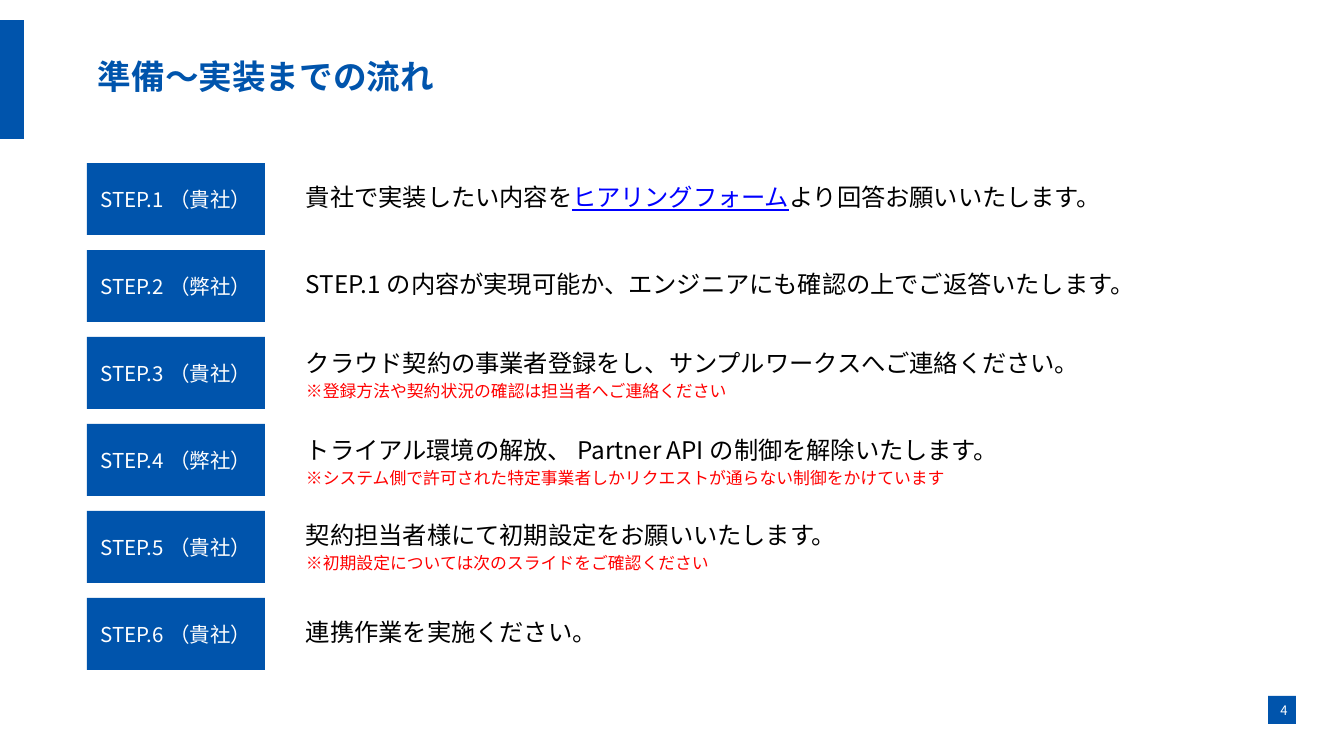
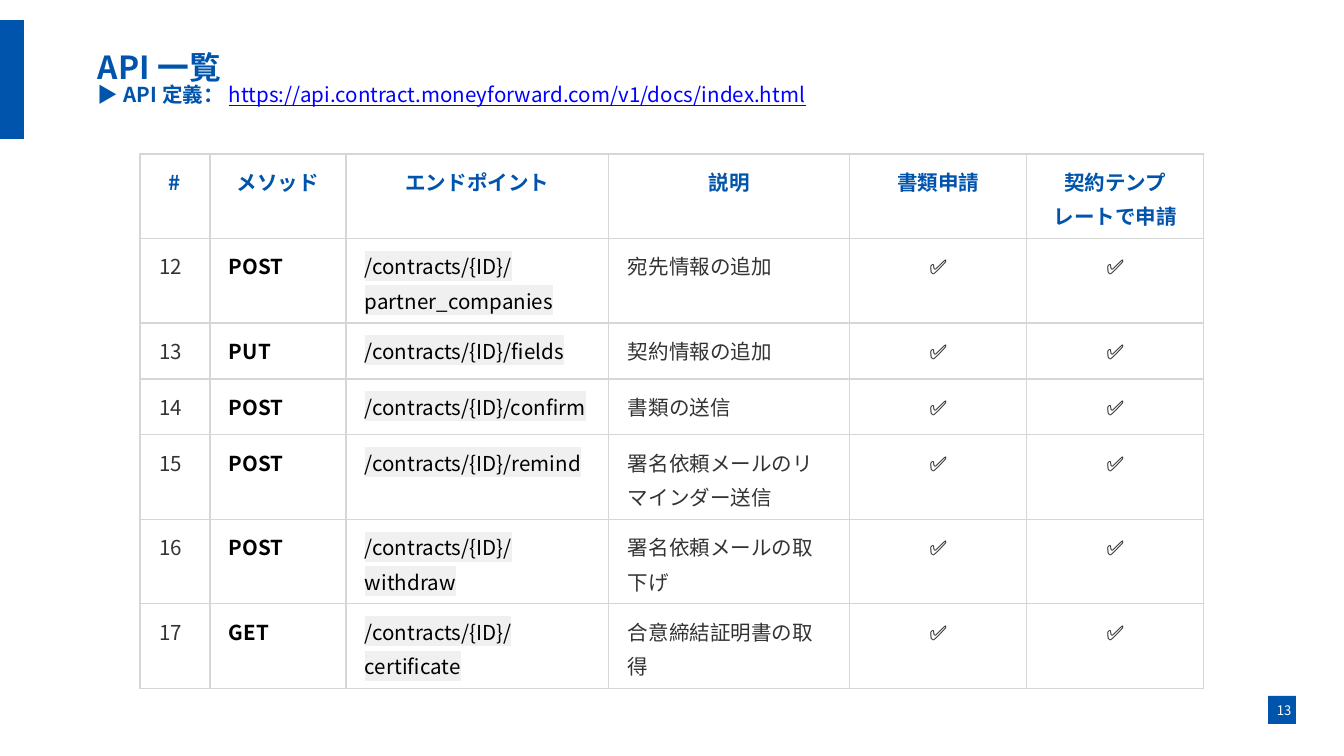
"""Build two slides: the onboarding steps and the API list."""
from lxml import etree
from pptx import Presentation, util as u
from pptx.dml.color import RGBColor
from pptx.enum import shapes, text
from pptx.oxml.ns import qn

PX = 914400 / 134.4
FONT = "Noto Sans CJK JP"
COLOURS = {
    "brand": "0054AC", "white": "FFFFFF", "black": "000000", "link": "0000FF",
    "note": "FF0000", "grey": "333333", "border": "D6D6D6", "code": "F0F0F0",
}
CENTRE = text.PP_ALIGN.CENTER
LINK = {"colour": "link", "bold": False, "underline": True}

STEP_TOP, STEP_PITCH, STEP_HEIGHT = 163, 87, 72
STEPS = [
    ("貴社", [("貴社で実装したい内容を", {}), ("ヒアリングフォーム", LINK),
            ("より回答お願いいたします。", {})], None, None),
    ("弊社", [("STEP.1の内容が実現可能か、エンジニアにも確認の上でご返答いたします。", {})], None, None),
    ("貴社", [("クラウド契約の事業者登録をし、サンプルワークスへご連絡ください。", {})],
     "※登録方法や契約状況の確認は担当者へご連絡ください", 1.15),
    ("弊社", [("トライアル環境の解放、Partner APIの制御を解除いたします。", {})],
     "※システム側で許可された特定事業者しかリクエストが通らない制御をかけています", 1.15),
    ("貴社", [("契約担当者様にて初期設定をお願いいたします。", {})],
     "※初期設定については次のスライドをご確認ください", None),
    ("貴社", [("連携作業を実施ください。", {})], None, None),
]

COLUMN_WIDTHS = [70, 136, 263, 241, 177, 177]
HEADERS = ["#", "メソッド", "エンドポイント", "説明", "書類申請", "契約テンプレートで申請"]
ENDPOINTS = [
    ("POST", "partner_companies", "宛先情報の追加"),
    ("PUT", "fields", "契約情報の追加"),
    ("POST", "confirm", "書類の送信"),
    ("POST", "remind", "署名依頼メールのリマインダー送信"),
    ("POST", "withdraw", "署名依頼メールの取下げ"),
    ("GET", "certificate", "合意締結証明書の取得"),
]


def px(*lengths):
    """Turn px lengths into EMU."""
    return [u.Emu(round(length * PX)) for length in lengths]


def rgb(name):
    """Look up a colour."""
    return RGBColor.from_string(COLOURS[name])


def add_colour(parent, tag, name):
    """Append an element that holds one solid colour."""
    holder = etree.SubElement(parent, qn(tag))
    etree.SubElement(holder, qn("a:srgbClr"), val=COLOURS[name])


def write(paragraph, runs, size, colour, bold=False, align=None, spacing=None):
    """Fill a paragraph with runs and set its shared font."""
    paragraph.alignment = align
    if spacing:
        paragraph.line_spacing = spacing
    font = paragraph.font
    font.name, font.size, font.bold = FONT, u.Pt(size), bold
    font.color.rgb = rgb(colour)
    latin = font._element.find(qn("a:latin"))
    latin.addnext(latin.makeelement(qn("a:ea"), typeface=FONT))
    for words, style in runs:
        if words == "\n":
            paragraph.add_line_break()
            continue
        run = paragraph.add_run()
        run.text = words
        if "size" in style:
            run.font.size = u.Pt(style["size"])
        if "bold" in style:
            run.font.bold = style["bold"]
        if "underline" in style:
            run.font.underline = style["underline"]
        if "colour" in style:
            run.font.color.rgb = rgb(style["colour"])
        if "highlight" in style:
            add_colour(run._r.get_or_add_rPr(), "a:highlight", style["highlight"])


def set_frame(frame, inset, anchor, fit):
    """Set wrapping, insets, anchor and fit of a text frame."""
    frame.word_wrap = True
    frame.auto_size = fit
    frame.vertical_anchor = anchor
    inset, = px(inset)
    frame.margin_left = frame.margin_right = inset
    frame.margin_top = frame.margin_bottom = inset


def add_block(slide, *box):
    """Add a plain rectangle in the brand colour."""
    block = slide.shapes.add_shape(shapes.MSO_SHAPE.RECTANGLE, *px(*box))
    block.shadow.inherit = False
    block.fill.solid()
    block.fill.fore_color.rgb = rgb("brand")
    block.line.fill.background()
    return block


def add_text(slide, box, fit=text.MSO_AUTO_SIZE.NONE):
    """Add an empty text box and return its frame."""
    frame = slide.shapes.add_textbox(*px(*box)).text_frame
    set_frame(frame, 13, text.MSO_ANCHOR.TOP, fit)
    return frame


def add_slide(deck, title_runs, number):
    """Add a slide with its side band, title and page number."""
    slide = deck.slides.add_slide(deck.slide_layouts[5])
    add_block(slide, 0, 20, 24, 119)
    add_block(slide, 1268, 696, 28, 28)
    title = slide.shapes.title
    title.left, title.top, title.width, title.height = px(98, 46, 1148, 60)
    set_frame(title.text_frame, 0, text.MSO_ANCHOR.MIDDLE,
              text.MSO_AUTO_SIZE.TEXT_TO_FIT_SHAPE)
    write(title.text_frame.paragraphs[0], title_runs, 18, "brand", True, text.PP_ALIGN.LEFT)
    page = add_text(slide, (1257, 689, 54, 35))
    write(page.paragraphs[0], [(str(number), {})], 7, "white", align=CENTRE)
    return slide


def add_step(slide, index, owner, runs, note, spacing):
    """Add one step label with its explanation."""
    top = STEP_TOP + index * STEP_PITCH
    label = add_block(slide, 87, top, 178, STEP_HEIGHT).text_frame
    set_frame(label, 13, text.MSO_ANCHOR.MIDDLE, text.MSO_AUTO_SIZE.TEXT_TO_FIT_SHAPE)
    write(label.paragraphs[0], [(f"STEP.{index + 1}（{owner}）", {})], 11, "white", align=CENTRE)

    height = 56 if not note else 81 if spacing else 77
    middle = top + STEP_HEIGHT // 2 - 2
    body = add_text(slide, (293, middle - height // 2, 985, height),
                    text.MSO_AUTO_SIZE.SHAPE_TO_FIT_TEXT)
    write(body.paragraphs[0], runs, 13, "black", spacing=spacing)
    if note:
        write(body.add_paragraph(), [(note, {})], 9, "note", spacing=1.15)


def add_cell(cell, words, colour="grey", bold=False, align=None, highlight=None):
    """Fill a table cell and draw its borders."""
    cell.margin_left, cell.margin_right, cell.margin_top, cell.margin_bottom = px(19, 19, 8, 8)
    style = {"highlight": highlight} if highlight else {}
    write(cell.text_frame.paragraphs[0], [(words, style)], 11, colour, bold, align, 1.15)
    cell.fill.background()
    properties = cell._tc.get_or_add_tcPr()
    for position, side in enumerate("LRTB"):
        border = properties.makeelement(qn(f"a:ln{side}"), w=str(u.Pt(0.68)))
        add_colour(border, "a:solidFill", "border")
        properties.insert(position, border)


def add_api_table(slide, first_number):
    """Add the table of endpoints."""
    box = px(140, 154, sum(COLUMN_WIDTHS), 56 * (len(ENDPOINTS) + 1))
    table = slide.shapes.add_table(len(ENDPOINTS) + 1, len(HEADERS), *box).table
    table.first_row = table.horz_banding = False
    for column, width in zip(table.columns, px(*COLUMN_WIDTHS)):
        column.width = width
    for column, header in enumerate(HEADERS):
        add_cell(table.cell(0, column), header, "brand", True, CENTRE)
    for row, (method, action, description) in enumerate(ENDPOINTS, 1):
        add_cell(table.cell(row, 0), str(first_number + row - 1))
        add_cell(table.cell(row, 1), method, "black", True)
        add_cell(table.cell(row, 2), f"/contracts/{{ID}}/{action}", "black", highlight="code")
        add_cell(table.cell(row, 3), description)
        for column in (4, 5):
            add_cell(table.cell(row, column), "✅", align=CENTRE)


def main():
    """Build and save the deck."""
    deck = Presentation()
    deck.slide_width, deck.slide_height = px(1344, 756)

    flow = add_slide(deck, [("準備～実装までの流れ", {})], 4)
    for index, step in enumerate(STEPS):
        add_step(flow, index, *step)

    api_title = [
        ("API一覧", {}), ("\n", {}), ("▶API定義：", {"size": 12}),
        ("https://api.contract.moneyforward.com/v1/docs/index.html", {**LINK, "size": 12}),
    ]
    api = add_slide(deck, api_title, 13)
    add_api_table(api, 12)
    deck.save("out.pptx")


if __name__ == "__main__":
    main()
